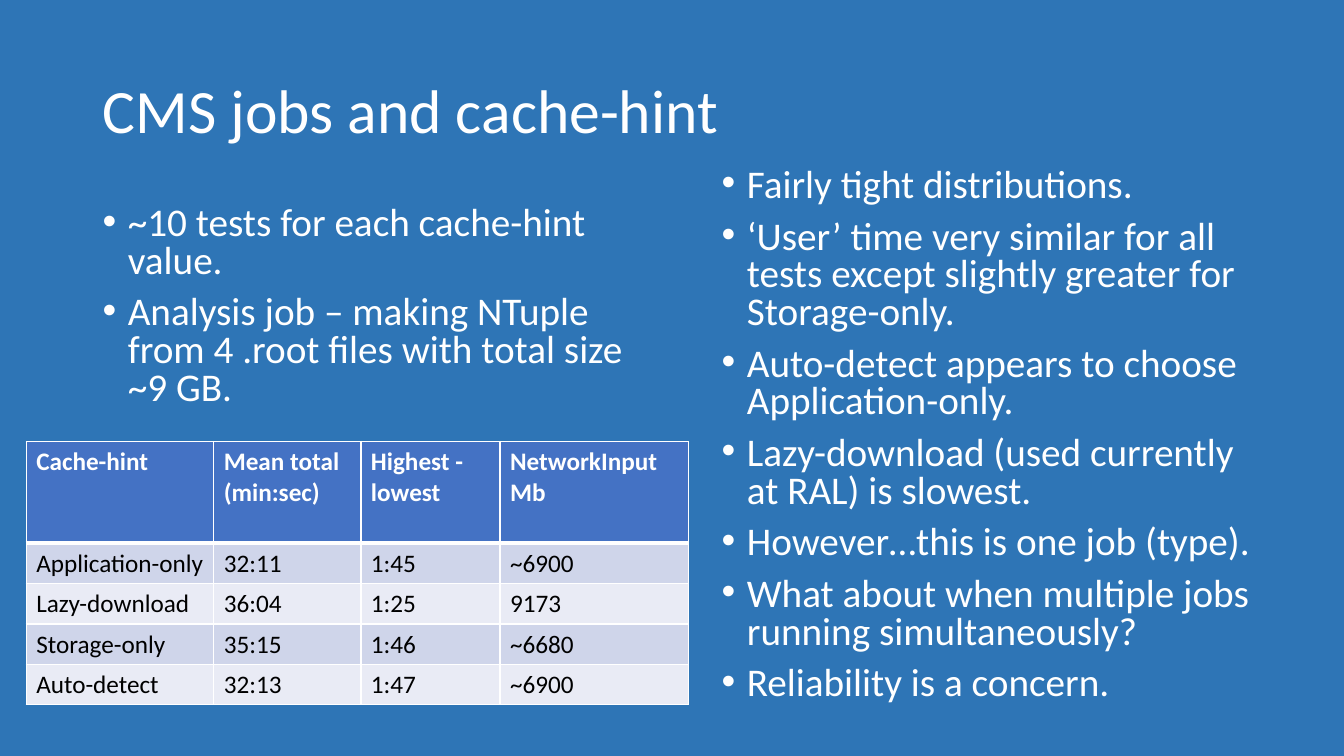
"""Build a slide about CMS jobs and the cache-hint setting."""
from dataclasses import dataclass

from lxml import etree
from pptx import Presentation
from pptx.dml.color import RGBColor
from pptx.enum.text import MSO_ANCHOR, PP_ALIGN
from pptx.oxml.ns import qn
from pptx.util import Inches, Pt

LEFT = PP_ALIGN.LEFT
TOP = MSO_ANCHOR.TOP
MIDDLE = MSO_ANCHOR.MIDDLE
TITLE_ONLY = 5
FONT = "Calibri"
WHITE, BLACK = "FFFFFF", "000000"
BACKGROUND, HEADER_FILL = "2E75B6", "4472C4"
BAND_FILLS = ("CFD5EA", "E9EBF5")


@dataclass(frozen=True)
class Area:
    """Position and size in inches."""

    left: float
    top: float
    width: float
    height: float

    def lengths(self) -> tuple:
        """Return the four values as lengths."""
        return tuple(Inches(v) for v in (self.left, self.top, self.width, self.height))


@dataclass(frozen=True)
class BulletList:
    """A column of bullet points."""

    area: Area
    points: tuple[str, ...]


TITLE = "CMS jobs and cache-hint"
TITLE_AREA = Area(0.92, 0.4, 11.5, 1.45)
BULLET_LISTS = (
    BulletList(Area(0.92, 2, 5.67, 4.76), (
        "~10 tests for each cache-hint value.",
        "Analysis job – making NTuple from 4 .root files with total size ~9 GB.",
    )),
    BulletList(Area(7.06, 1.62, 5.67, 5.72), (
        "Fairly tight distributions.",
        "‘User’ time very similar for all tests except slightly greater for Storage-only.",
        "Auto-detect appears to choose Application-only.",
        "Lazy-download (used currently at RAL) is slowest.",
        "However…this is one job (type).",
        "What about when multiple jobs running simultaneously?",
        "Reliability is a concern.",
    )),
)
TABLE_AREA = Area(0.26, 4.38, 6.57, 2.61)
COLUMN_WIDTHS = (1.86, 1.46, 1.38, 1.87)
HEADER_HEIGHT, ROW_HEIGHT = 1.01, 0.4
TABLE_ROWS = (
    ("Cache-hint", "Mean total (min:sec)", "Highest - lowest", "NetworkInput\vMb"),
    ("Application-only", "32:11", "1:45", "~6900"),
    ("Lazy-download", "36:04", "1:25", "9173"),
    ("Storage-only", "35:15", "1:46", "~6680"),
    ("Auto-detect", "32:13", "1:47", "~6900"),
)


def colour(value: str) -> RGBColor:
    """Turn a hex string into a colour."""
    return RGBColor.from_string(value)


def apply_format(target, values: dict) -> None:
    """Set each named attribute on the target."""
    for name, value in values.items():
        setattr(target, name, value)


def format_text(frame, size: float, hue: str, bold: bool = False, **paragraph_values) -> None:
    """Format every paragraph and span of a text frame."""
    for para in frame.paragraphs:
        apply_format(para, {"alignment": LEFT, **paragraph_values})
        for span in para.runs:
            apply_format(span.font, {"name": FONT, "size": Pt(size), "bold": bold})
            span.font.color.rgb = colour(hue)


def add_title(page) -> None:
    """Place and format the title placeholder."""
    title = page.shapes.title
    left, top, width, height = TITLE_AREA.lengths()
    apply_format(title, {"left": left, "top": top, "width": width, "height": height})
    title.text_frame.text = TITLE
    apply_format(title.text_frame, {"vertical_anchor": MIDDLE, "word_wrap": True})
    format_text(title.text_frame, 44, WHITE, line_spacing=0.9)


def add_bullets(page, bullets: BulletList) -> None:
    """Draw one column of bullet points."""
    frame = page.shapes.add_textbox(*bullets.area.lengths()).text_frame
    apply_format(frame, {"word_wrap": True, "vertical_anchor": TOP})
    frame.text = "\n".join(bullets.points)
    format_text(frame, 28, WHITE, line_spacing=0.8, space_before=Pt(10))
    for para in frame.paragraphs:
        properties = para._p.get_or_add_pPr()
        properties.set("marL", str(Inches(0.25)))
        properties.set("indent", str(-Inches(0.25)))
        etree.SubElement(properties, qn("a:buFont"), typeface="Arial")
        etree.SubElement(properties, qn("a:buChar"), char="•")


def add_borders(cell, top: float, bottom: float) -> None:
    """Give a cell white borders with the given top and bottom widths."""
    properties = cell._tc.get_or_add_tcPr()
    for side, width in {"L": 1, "R": 1, "T": top, "B": bottom}.items():
        line = etree.SubElement(properties, qn(f"a:ln{side}"), w=str(Pt(width)))
        fill = etree.SubElement(line, qn("a:solidFill"))
        etree.SubElement(fill, qn("a:srgbClr"), val=WHITE)


def add_results_table(page) -> None:
    """Draw the table of timings for each cache-hint value."""
    size = len(TABLE_ROWS), len(COLUMN_WIDTHS)
    table = page.shapes.add_table(*size, *TABLE_AREA.lengths()).table
    for column, width in zip(table.columns, COLUMN_WIDTHS):
        column.width = Inches(width)
    for index, (row, texts) in enumerate(zip(table.rows, TABLE_ROWS)):
        header = index == 0
        row.height = Inches(HEADER_HEIGHT if header else ROW_HEIGHT)
        for cell, text in zip(row.cells, texts):
            add_borders(cell, 3 if index == 1 else 1, 3 if header else 1)
            cell.fill.solid()
            cell.fill.fore_color.rgb = colour(
                HEADER_FILL if header else BAND_FILLS[(index - 1) % 2])
            cell.text_frame.text = text
            format_text(cell.text_frame, 18, WHITE if header else BLACK, header)


def main() -> None:
    """Build and save the deck."""
    deck = Presentation()
    apply_format(deck, {"slide_width": Inches(13.33), "slide_height": Inches(7.5)})
    page = deck.slides.add_slide(deck.slide_layouts[TITLE_ONLY])
    page.background.fill.solid()
    page.background.fill.fore_color.rgb = colour(BACKGROUND)
    add_title(page)
    for bullets in BULLET_LISTS:
        add_bullets(page, bullets)
    add_results_table(page)
    deck.save("out.pptx")


if __name__ == "__main__":
    main()
